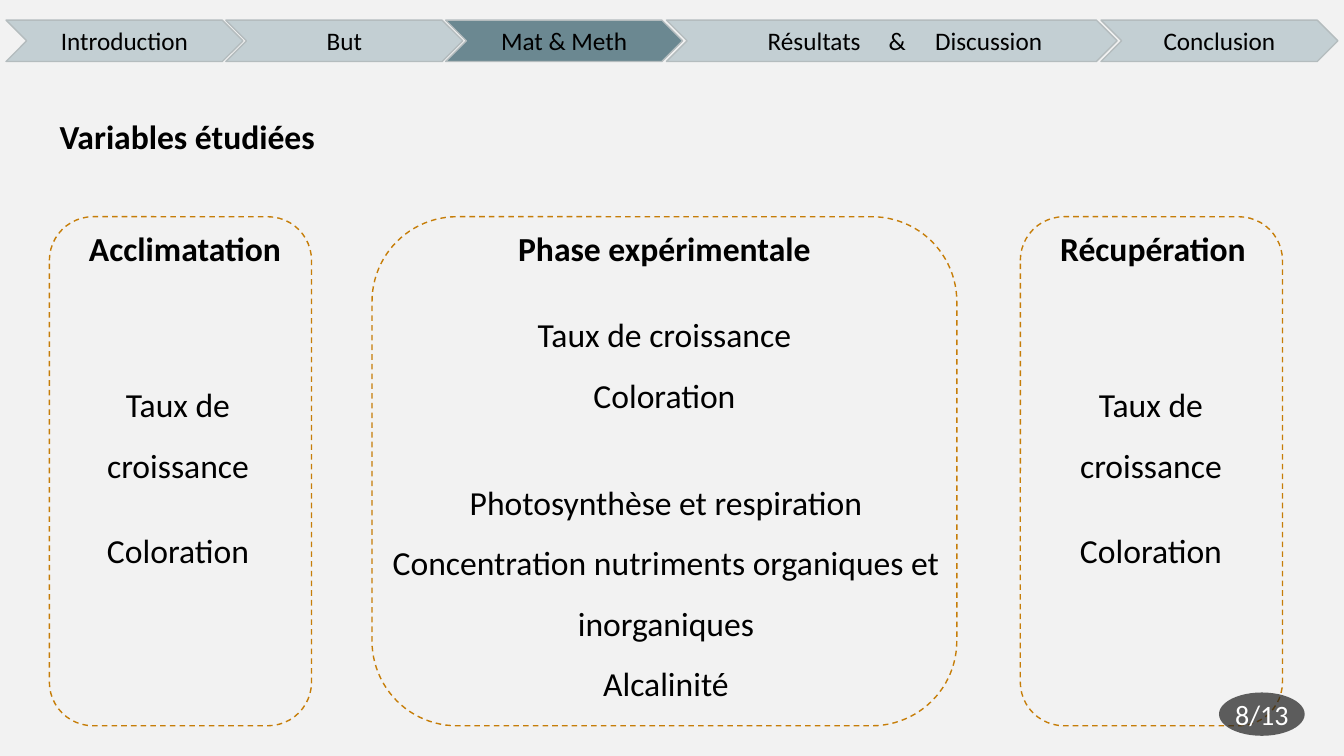
from lxml.etree import SubElement
from pptx import Presentation
from pptx.dml.color import RGBColor
from pptx.enum.dml import MSO_LINE
from pptx.enum.shapes import MSO_SHAPE
from pptx.enum.text import MSO_ANCHOR, MSO_AUTO_SIZE, PP_ALIGN
from pptx.oxml.ns import qn
from pptx.util import Inches, Pt

COLORS = {
    "background": "F2F2F2", "text": "000000", "frame": "C67D08",
    "step": "C3CFD3", "current": "6B8891", "step_line": "B4BCBE",
    "badge": "1D1D1D", "badge_text": "FFFFFF",
}


def write(shape, text, size=24, color="text", bold=False, align=PP_ALIGN.CENTER,
          anchor=MSO_ANCHOR.TOP, line_spacing=1.0, gap=0, tabs=()):
    """Fill a shape with one paragraph per line; gap is the space between them."""
    frame = shape.text_frame
    frame.word_wrap = True
    frame.auto_size = MSO_AUTO_SIZE.NONE
    frame.vertical_anchor = anchor
    frame.text = text
    for index, paragraph in enumerate(frame.paragraphs):
        paragraph.alignment = align
        paragraph.line_spacing = line_spacing
        paragraph.space_before = Pt(gap if index else 0)
        if tabs:
            tab_list = SubElement(paragraph._p.get_or_add_pPr(), qn("a:tabLst"))
            for position in tabs:
                SubElement(tab_list, qn("a:tab"), pos=str(Inches(position)), algn="l")
        paragraph.font.name = "Calibri"
        paragraph.font.size = Pt(size)
        paragraph.font.bold = bold
        paragraph.font.color.rgb = RGBColor.from_string(COLORS[color])


def add_box(kind, left, top, width, height, fill=None, line=None):
    shape = slide.shapes.add_shape(
        kind, Inches(left), Inches(top), Inches(width), Inches(height))
    shape.shadow.inherit = False
    if fill:
        shape.fill.solid()
        shape.fill.fore_color.rgb = RGBColor.from_string(COLORS[fill])
    else:
        shape.fill.background()
    if line:
        shape.line.color.rgb = RGBColor.from_string(COLORS[line])
        shape.line.width = Pt(1)
    else:
        shape.line.fill.background()
    return shape


presentation = Presentation()
presentation.slide_width = Inches(13.33)
presentation.slide_height = Inches(7.5)
slide = presentation.slides.add_slide(presentation.slide_layouts[5])
slide.background.fill.solid()
slide.background.fill.fore_color.rgb = RGBColor.from_string(COLORS["background"])

title = slide.shapes.title
title.left, title.top = Inches(0.49), Inches(1.1)
title.width, title.height = Inches(4.31), Inches(0.5)
write(title, "Variables étudiées", bold=True, align=PP_ALIGN.LEFT)

# Dashed frames of the three phases
for left, width in [(0.49, 2.6), (3.69, 5.8), (10.12, 2.6)]:
    phase = add_box(MSO_SHAPE.ROUNDED_RECTANGLE, left, 2.15, width, 5.05, line="frame")
    phase.line.dash_style = MSO_LINE.DASH

# Phase headings and their variables
heading = {"bold": True}
variables = {"line_spacing": 1.5}
spaced_variables = {"line_spacing": 1.5, "gap": 18}
texts = [
    (0.7, 2.21, 2.27, 0.5, "Acclimatation", heading),
    (4.76, 2.21, 3.66, 0.5, "Phase expérimentale", heading),
    (10.11, 2.21, 2.65, 0.5, "Récupération", heading),
    (0.49, 3.56, 2.55, 2.11, "Taux de croissance\nColoration", spaced_variables),
    (3.69, 2.87, 5.8, 1.57, "Taux de croissance\nColoration", variables),
    (3.72, 4.53, 5.77, 2.46,
     "Photosynthèse et respiration\n"
     "Concentration nutriments organiques et inorganiques\nAlcalinité", variables),
    (10.14, 3.56, 2.55, 2.11, "Taux de croissance\nColoration", spaced_variables),
]
for left, top, width, height, text, text_format in texts:
    box = slide.shapes.add_textbox(
        Inches(left), Inches(top), Inches(width), Inches(height))
    write(box, text, **text_format)

# Progress bar
steps = [
    (0.06, 2.35, "Introduction"),
    (2.24, 2.35, "But"),
    (4.42, 2.35, "Mat & Meth"),
    (10.92, 2.35, "Conclusion"),
]
for left, width, text in steps:
    fill = "current" if text == "Mat & Meth" else "step"
    step = add_box(MSO_SHAPE.CHEVRON, left, 0.2, width, 0.41, fill, "step_line")
    write(step, text, size=18, anchor=MSO_ANCHOR.MIDDLE)

results = add_box(MSO_SHAPE.CHEVRON, 6.61, 0.2, 4.47, 0.41, "step", "step_line")
results.text_frame.margin_left = Inches(0.8)
write(results, "Résultats\t&\tDiscussion", size=18, align=PP_ALIGN.LEFT,
      anchor=MSO_ANCHOR.MIDDLE, tabs=(1.2, 1.66))

# Page number
badge = add_box(MSO_SHAPE.OVAL, 12.09, 6.87, 0.85, 0.43, "badge")
badge_color = badge.fill._xPr.find(qn("a:solidFill"))[0]
SubElement(badge_color, qn("a:alpha"), val="70000")
badge.text_frame.margin_left = badge.text_frame.margin_right = Inches(0.02)
write(badge, "8/13", size=20, color="badge_text", anchor=MSO_ANCHOR.MIDDLE)

presentation.save("out.pptx")
